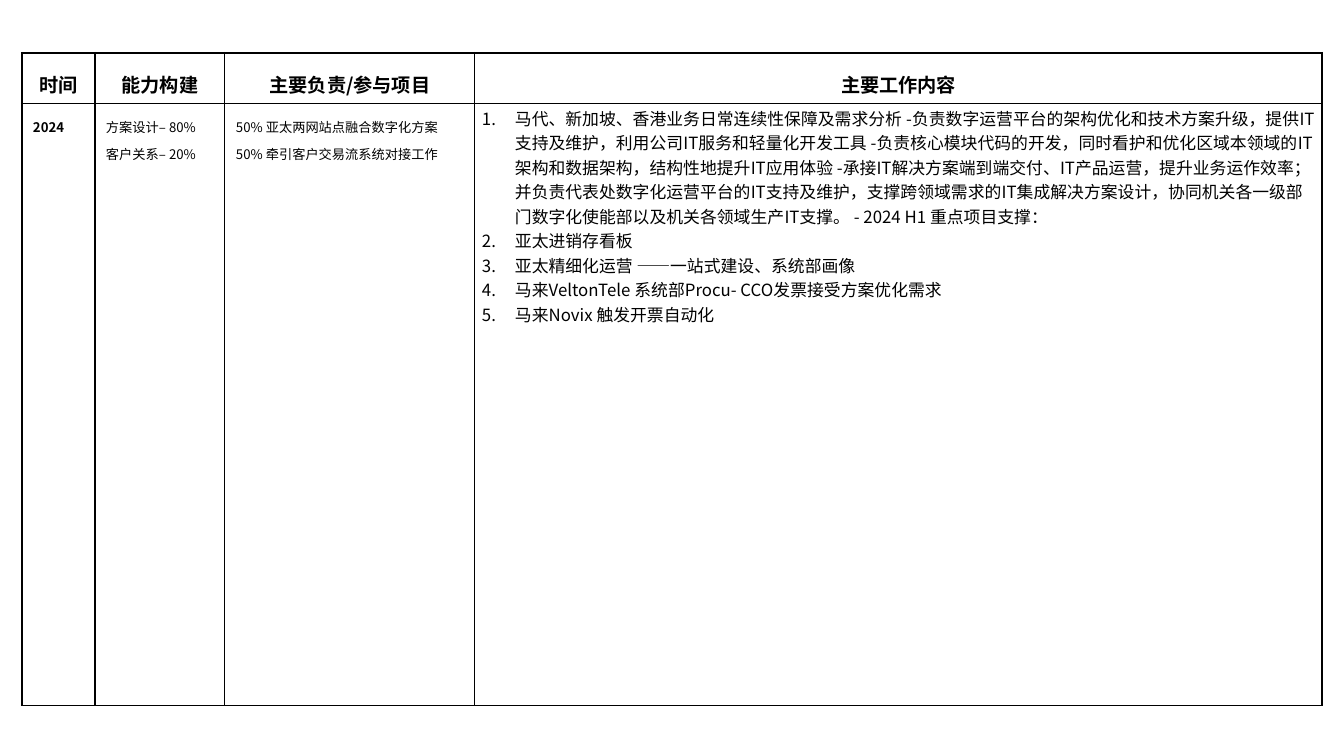
"""Build a one-slide work summary table."""
import lxml.etree
import pptx
import pptx.dml.color
import pptx.enum.text
import pptx.oxml.ns
import pptx.util

HEADS = ["时间", "能力构建", "主要负责/参与项目", "主要工作内容"]
BODY = [
    ["2024"],
    ["方案设计– 80%", "客户关系– 20%"],
    ["50% 亚太两网站点融合数字化方案", "50% 牵引客户交易流系统对接工作"],
    [
        "马代、新加坡、香港业务日常连续性保障及需求分析 -负责数字运营平台的架构优化和技术方案升级，"
        "提供IT支持及维护，利用公司IT服务和轻量化开发工具 -负责核心模块代码的开发，"
        "同时看护和优化区域本领域的IT架构和数据架构，结构性地提升IT应用体验 "
        "-承接IT解决方案端到端交付、IT产品运营，提升业务运作效率；"
        "并负责代表处数字化运营平台的IT支持及维护，支撑跨领域需求的IT集成解决方案设计，"
        "协同机关各一级部门数字化使能部以及机关各领域生产IT支撑。 - 2024 H1 重点项目支撑：",
        "亚太进销存看板",
        "亚太精细化运营 ——一站式建设、系统部画像",
        "马来VeltonTele 系统部Procu- CCO发票接受方案优化需求",
        "马来Novix 触发开票自动化",
    ],
]
WIDTHS = [73, 130, 250, 847]
HEIGHTS = [42, 602]
LEFT, TOP = 22, 53
INDENT = 33
THIN, THICK = 1, 2.25
FONT = "Noto Sans CJK SC"
BLACK = pptx.dml.color.RGBColor(0, 0, 0)
ALIGN = pptx.enum.text.PP_ALIGN
ANCHOR = pptx.enum.text.MSO_ANCHOR


def px(num):
    return pptx.util.Emu(round(num * 914400 / 86.4))


def add(node, tag, **attrs):
    return lxml.etree.SubElement(node, pptx.oxml.ns.qn(tag), **attrs)


def border(cell, row, col):
    last = len(WIDTHS) - 1
    sides = {
        "L": THICK if col == 0 else THIN,
        "R": THICK if col == last else THIN,
        "T": THICK if row == 0 else THIN,
        "B": THIN,
    }
    props = cell._tc.get_or_add_tcPr()
    for side, width in sides.items():
        line = add(props, f"a:ln{side}", w=str(pptx.util.Pt(width)))
        add(add(line, "a:solidFill"), "a:srgbClr", val=str(BLACK))


def write(cell, lines, size, bold, center, listed):
    frame = cell.text_frame
    frame.text = "\n".join(lines)
    for para in frame.paragraphs:
        if listed:
            props = para._p.get_or_add_pPr()
            props.set("marL", str(px(INDENT)))
            props.set("indent", str(-px(INDENT)))
            add(props, "a:buFont", typeface="+mj-lt")
            add(props, "a:buAutoNum", type="arabicPeriod")
        else:
            para.line_spacing = 1.4
        para.alignment = ALIGN.CENTER if center else ALIGN.LEFT
        font = para.font
        font.size = pptx.util.Pt(size)
        font.bold = bold
        font.color.rgb = BLACK
        font.name = FONT
        add(font._element, "a:ea", typeface=FONT)


def main():
    deck = pptx.Presentation()
    deck.slide_width, deck.slide_height = px(1344), px(756)
    slide = deck.slides.add_slide(deck.slide_layouts[6])
    frame = slide.shapes.add_table(
        len(HEIGHTS), len(WIDTHS), px(LEFT), px(TOP), px(sum(WIDTHS)), px(sum(HEIGHTS))
    )
    table = frame.table
    table.first_row = table.horz_banding = False
    for col, width in enumerate(WIDTHS):
        table.columns[col].width = px(width)
    for row, height in enumerate(HEIGHTS):
        table.rows[row].height = px(height)

    for row, cells in enumerate([[[head] for head in HEADS], BODY]):
        for col, lines in enumerate(cells):
            cell = table.cell(row, col)
            head = row == 0
            listed = not head and col == len(WIDTHS) - 1
            side, edge = (7, 2) if listed else (11, 6)
            cell.margin_left = cell.margin_right = px(side)
            cell.margin_top = cell.margin_bottom = px(edge)
            cell.vertical_anchor = ANCHOR.MIDDLE if head else ANCHOR.TOP
            border(cell, row, col)
            cell.fill.background()
            size = 16 if head else 14 if listed else 11
            write(cell, lines, size, head or col == 0, head, listed)
    deck.save("out.pptx")


if __name__ == "__main__":
    main()
